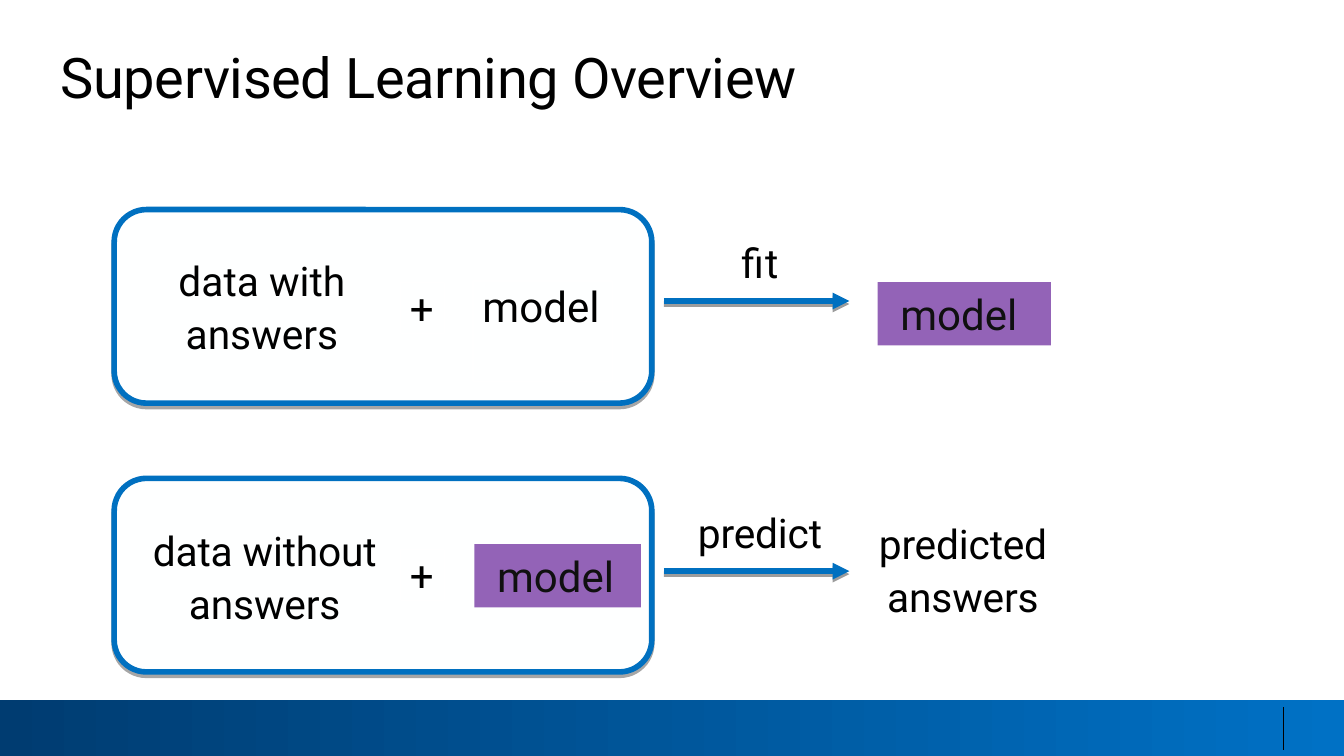
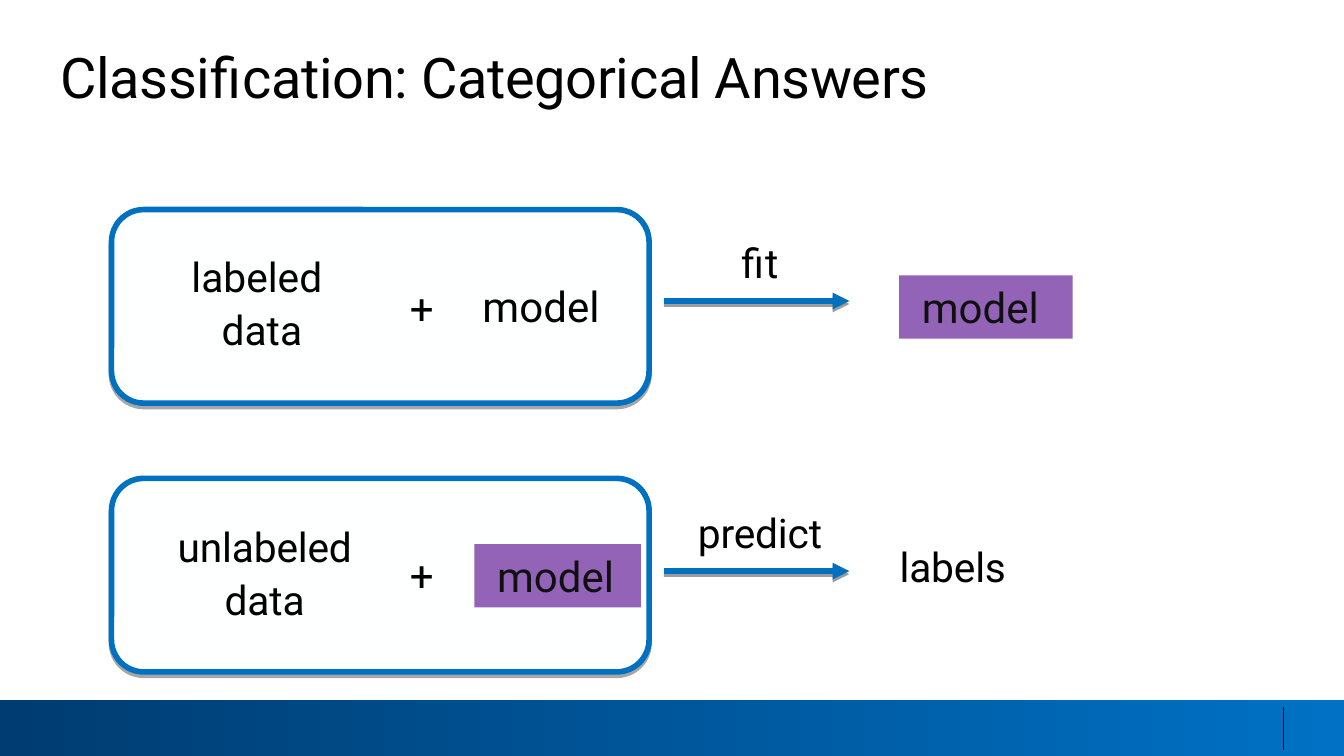
from lxml import etree
from pptx import Presentation
from pptx.dml.color import RGBColor
from pptx.enum.shapes import MSO_CONNECTOR, MSO_SHAPE
from pptx.enum.text import MSO_ANCHOR, PP_ALIGN
from pptx.oxml.ns import qn
from pptx.util import Emu, Pt

RECT, ROUNDED = MSO_SHAPE.RECTANGLE, MSO_SHAPE.ROUNDED_RECTANGLE
STRAIGHT = MSO_CONNECTOR.STRAIGHT
LEFT, CENTER = PP_ALIGN.LEFT, PP_ALIGN.CENTER
TOP, MIDDLE = MSO_ANCHOR.TOP, MSO_ANCHOR.MIDDLE

EMU_PER_PX = 4572
FONT = "Roboto"
COLORS = {
    "text": "000000",
    "model_text": "101010",
    "model": "7030A0",
    "accent": "0070C0",
    "panel": "FEFFFF",
    "outline": "FFFFFF",
    "band_light": "0071C5",
    "band_dark": "003C71",
    "shadow": "000000",
}


def px(n):
    return Emu(n * EMU_PER_PX)


def rgb(name):
    return RGBColor.from_string(COLORS[name])


def sub(parent, tag, **attrs):
    return etree.SubElement(parent, qn(tag), {k: str(v) for k, v in attrs.items()})


class Deck:
    """Holds the presentation, its style and the current slide."""

    def __init__(self):
        self.prs = Presentation()
        self.prs.slide_width, self.prs.slide_height = px(2000), px(1125)

    def new_slide(self, title):
        self.s = self.prs.slides.add_slide(self.prs.slide_layouts[6])
        self.band()
        self.text(title, (88, 64, 1846, 100), size=30, align=LEFT, spacing=None, track=-20)

    def band(self):
        sp = self.shape(RECT, (0, 1042, 2000, 83))
        sp.fill.gradient()
        sp.fill.gradient_angle = 180
        for stop, name in zip(sp.fill.gradient_stops, ("band_light", "band_dark")):
            stop.color.rgb = rgb(name)
        self.shadow(sp, 35, 1.8)
        self.line((1910, 1052), (1910, 1116), "text", 0.75)

    def shape(self, kind, box, fill=None, line=None, width=0.75):
        sp = self.s.shapes.add_shape(kind, *map(px, box))
        sp.shadow.inherit = False
        if fill:
            sp.fill.solid()
            sp.fill.fore_color.rgb = rgb(fill)
        else:
            sp.fill.background()
        if line:
            sp.line.color.rgb = rgb(line)
            sp.line.width = Pt(width)
        else:
            sp.line.fill.background()
        return sp

    def shadow(self, sp, alpha, dist):
        effects = sp._element.spPr.find(qn("a:effectLst"))
        outer = sub(effects, "a:outerShdw", blurRad=0, dist=Pt(dist), dir=5400000,
                    algn="ctr", rotWithShape=0)
        color = sub(outer, "a:srgbClr", val=COLORS["shadow"])
        sub(color, "a:alpha", val=alpha * 1000)

    def line(self, start, end, color, width):
        sp = self.s.shapes.add_connector(STRAIGHT, *map(px, start + end))
        sp.line.color.rgb = rgb(color)
        sp.line.width = Pt(width)
        sub(sp._element.spPr, "a:effectLst")
        return sp

    def arrow(self, x1, x2, y):
        sp = self.line((x1, y), (x2, y), "accent", 3)
        sub(sp._element.spPr.find(qn("a:ln")), "a:tailEnd", type="triangle")
        self.shadow(sp, 38, 1.6)

    def panel(self, box):
        sp = self.shape(ROUNDED, box, "panel", "accent", 3)
        self.shadow(sp, 35, 1.8)

    def set_text(self, sp, text, size, color="text", align=LEFT, anchor=TOP,
                 margins=(0, 0), indent=2, spacing=None, track=0):
        tf = sp.text_frame
        tf.word_wrap = True
        tf.vertical_anchor = anchor
        tf.margin_left = tf.margin_right = px(margins[0])
        tf.margin_top = tf.margin_bottom = px(margins[1])
        tf.text = text
        for p in tf.paragraphs:
            p.alignment = align
            p._p.get_or_add_pPr().set("marL", str(px(indent)))
            if spacing:
                p.line_spacing = Pt(spacing)
            for r in p.runs:
                r.font.name = FONT
                r.font.size = Pt(size)
                r.font.color.rgb = rgb(color)
                r._r.get_or_add_rPr().set("spc", str(track))

    def text(self, text, box, size=21.8, align=CENTER, spacing=28.5, track=-10):
        sp = self.s.shapes.add_textbox(*map(px, box))
        self.set_text(sp, text, size, align=align, spacing=spacing, track=track)

    def term(self, text, box):
        sp = self.shape(RECT, box, line="outline")
        self.set_text(sp, text, 22.5, indent=14)

    def fitted_model(self, box):
        sp = self.shape(RECT, box, "model")
        sub(sp._element.spPr.find(".//" + qn("a:srgbClr")), "a:alpha", val=75000)
        self.set_text(sp, "model", 22.5, "model_text", anchor=MIDDLE,
                      margins=(20, 10), indent=14)

    def workflow(self, title, panel_x, training, new_data, data_y, fitted_at, result, result_box):
        self.new_slide(title)
        for y in (712, 312):
            self.panel((panel_x, y, 800, 288))
        self.text(training, (202, data_y, 374, 158), track=0)
        self.text(new_data, (202, data_y + 402, 382, 158))
        self.term("model", (704, 418, 208, 150))
        for y in (420, 818):
            self.term("+", (596, y, 66, 76))
        for verb, y in (("fit", 348), ("predict", 750)):
            self.arrow(988, 1264, y + 100)
            self.text(verb, (976, y, 308, 80))
        self.fitted_model((706, 810, 248, 94))
        self.fitted_model((*fitted_at, 258, 94))
        self.text(result, result_box)


def main():
    deck = Deck()
    deck.workflow("Supervised Learning Overview", 170, "data with answers",
                  "data without answers", 374, (1306, 420),
                  "predicted answers", (1298, 766, 268, 238))
    deck.workflow("Classification: Categorical Answers", 166, "labeled \ndata",
                  "unlabeled data", 368, (1338, 410),
                  "labels", (1300, 800, 234, 80))
    deck.prs.save("out.pptx")


if __name__ == "__main__":
    main()
